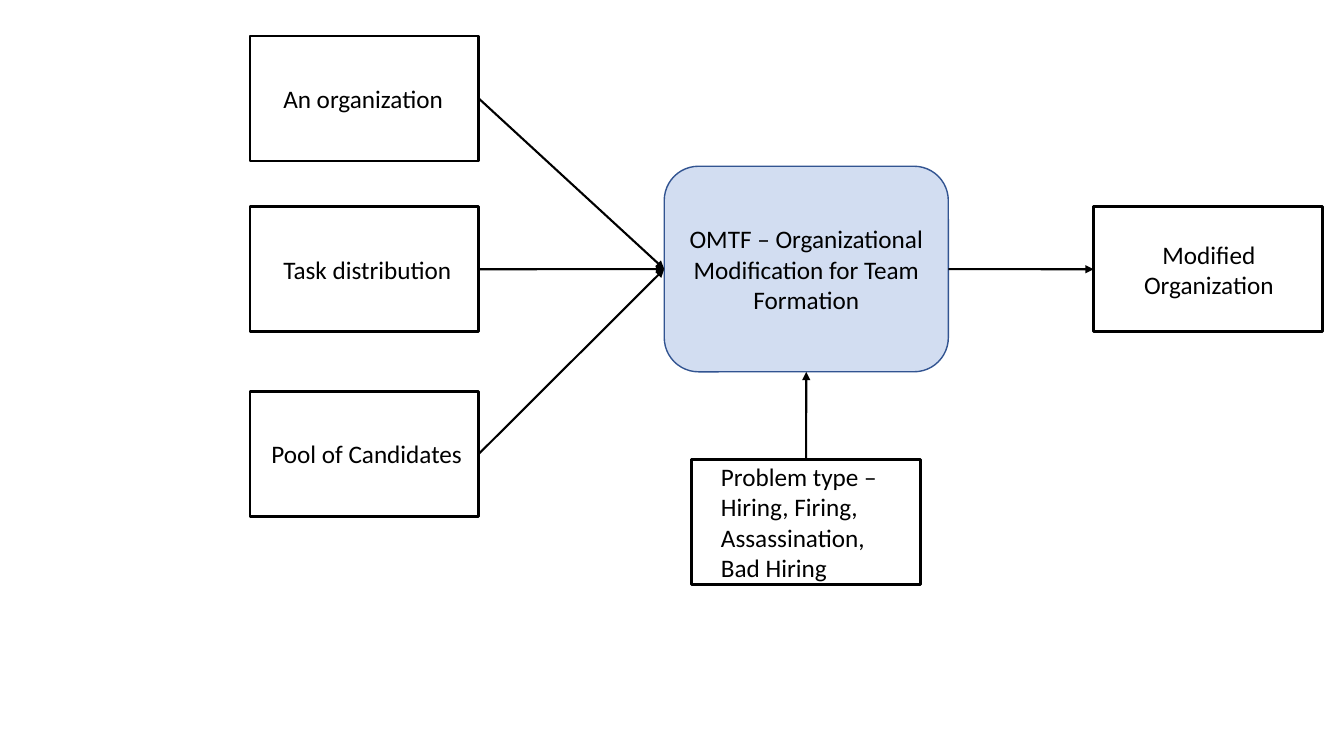
from lxml.etree import SubElement
from pptx import Presentation
from pptx.dml.color import RGBColor
from pptx.enum.shapes import MSO_CONNECTOR, MSO_SHAPE
from pptx.enum.text import MSO_ANCHOR, PP_ALIGN
from pptx.oxml.ns import qn
from pptx.util import Cm, Pt


def color(code):
    return RGBColor.from_string(code)


def add_box(kind, text, place, insets, align, edge, weight):
    """Add an unfilled shape; place and insets (left, right) are in cm."""
    box = slide.shapes.add_shape(kind, *[Cm(n) for n in place])
    box.shadow.inherit = False
    box.fill.background()
    box.line.color.rgb = color(edge)
    box.line.width = Pt(weight)
    frame = box.text_frame
    frame.word_wrap = True
    frame.vertical_anchor = MSO_ANCHOR.MIDDLE
    frame.margin_left, frame.margin_right = [Cm(n) for n in insets]
    frame.margin_top = frame.margin_bottom = 0
    para = frame.paragraphs[0]
    para.text = text
    para.alignment = align
    para.font.name = "Calibri"
    para.font.size = Pt(18)
    para.font.color.rgb = color("000000")
    return box


deck = Presentation()
deck.slide_width, deck.slide_height = Cm(33.87), Cm(19.05)
slide = deck.slides.add_slide(deck.slide_layouts[6])

# Central process
model = add_box(MSO_SHAPE.ROUNDED_RECTANGLE,
                "OMTF – Organizational Modification for Team Formation",
                (16.74, 4.19, 7.16, 5.18), (0.1, 0.1), PP_ALIGN.CENTER,
                "325491", 1)
model.fill.solid()
model.fill.fore_color.rgb = color("8FAADC")
tint = model.fill._xPr.find(qn("a:solidFill"))[0]
SubElement(tint, qn("a:alpha"), val="40000")

# Inputs, problem type and result: text, left, top, insets, alignment
WIDTH, HEIGHT = 5.77, 3.15
rows = [
    ("An organization", 6.3, 0.91, (0.84, 0.3), PP_ALIGN.LEFT),
    ("Task distribution", 6.3, 5.21, (0.84, 0.3), PP_ALIGN.LEFT),
    ("Pool of Candidates", 6.3, 9.86, (0.54, 0.3), PP_ALIGN.LEFT),
    ("Problem type – Hiring, Firing, Assassination, Bad Hiring",
     17.43, 11.58, (0.74, 0.7), PP_ALIGN.LEFT),
    ("Modified Organization", 27.56, 5.21, (0.74, 0.7), PP_ALIGN.CENTER),
]
staff, task, pool, problem, result = [
    add_box(MSO_SHAPE.RECTANGLE, text, (left, top, WIDTH, HEIGHT),
            insets, align, "000000", 2)
    for text, left, top, insets, align in rows
]

# Arrows between connection sites
TOP, LEFT, BOTTOM, RIGHT = range(4)
links = [
    (staff, RIGHT, model, LEFT),
    (task, RIGHT, model, LEFT),
    (pool, RIGHT, model, LEFT),
    (model, RIGHT, result, LEFT),
    (problem, TOP, model, BOTTOM),
]
for start, out, end, entry in links:
    arrow = slide.shapes.add_connector(MSO_CONNECTOR.STRAIGHT, 0, 0, 0, 0)
    arrow.begin_connect(start, out)
    arrow.end_connect(end, entry)
    arrow.line.color.rgb = color("000000")
    arrow.line.width = Pt(1.5)
    SubElement(arrow.line._get_or_add_ln(), qn("a:tailEnd"), type="triangle")
    SubElement(arrow._element.spPr, qn("a:effectLst"))

deck.save("out.pptx")
